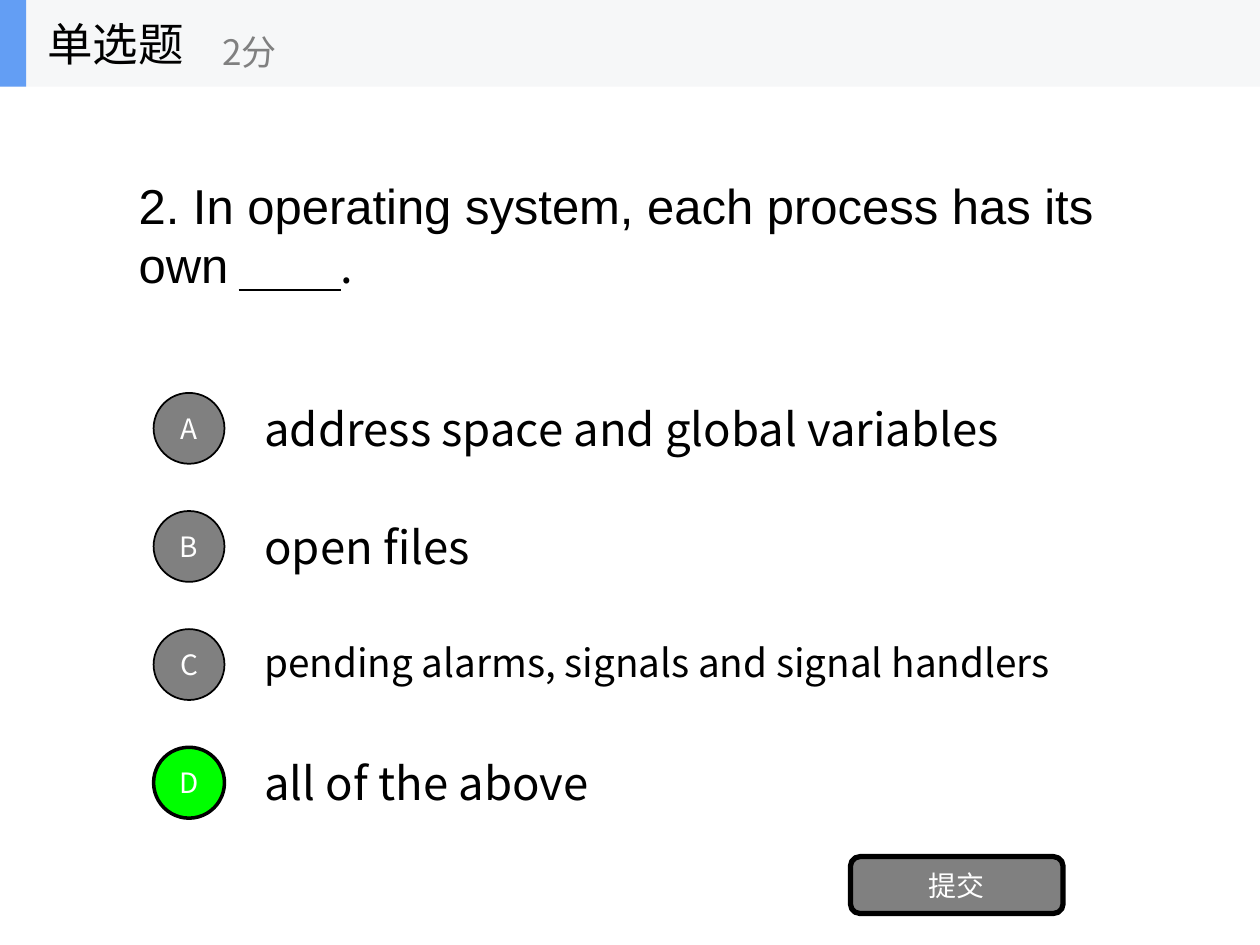
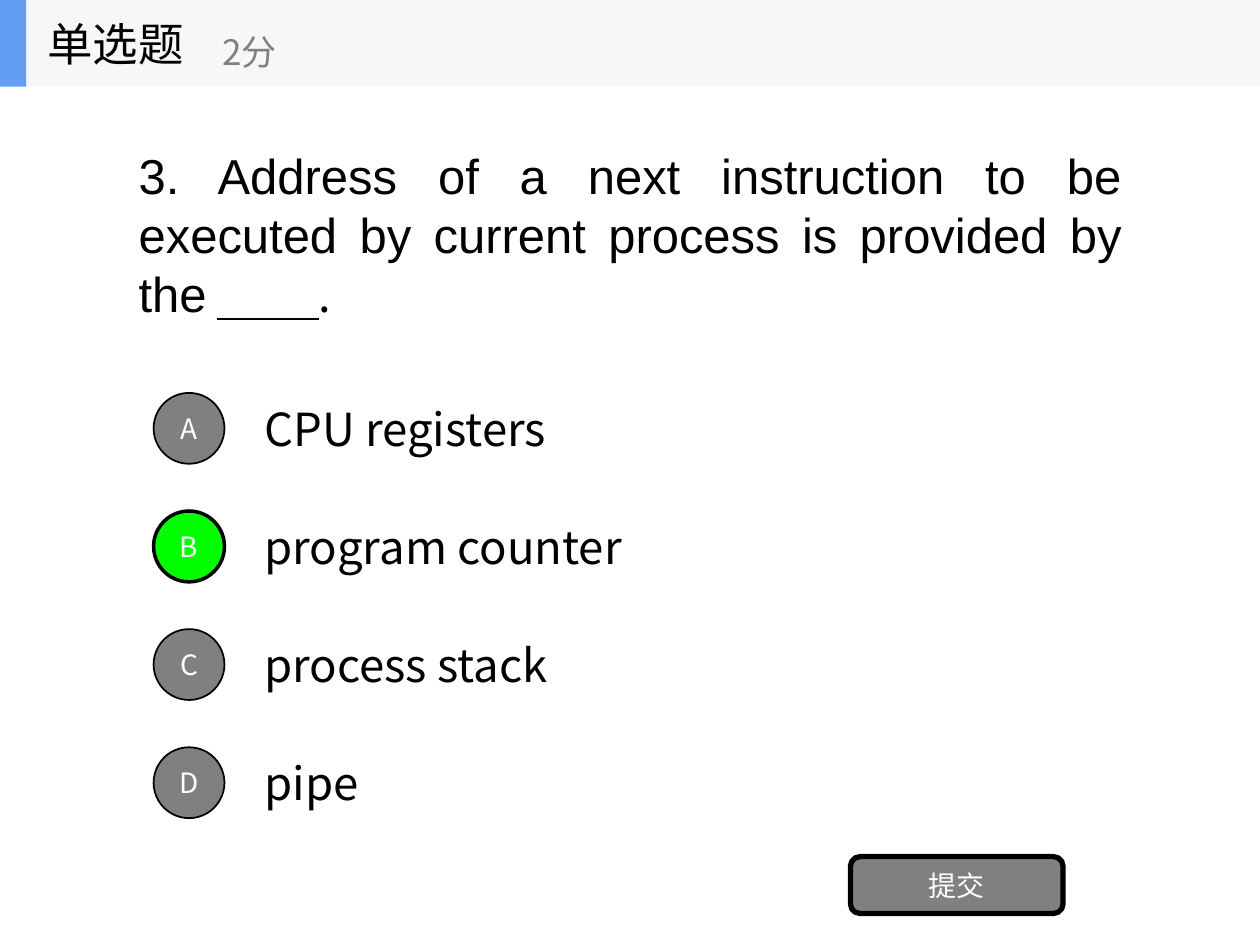
from dataclasses import dataclass

from lxml.etree import Element
from pptx import Presentation
from pptx.dml.color import RGBColor as RGB
from pptx.enum.shapes import MSO_SHAPE as Preset
from pptx.enum.text import MSO_ANCHOR as Anchor, PP_ALIGN as Align
from pptx.oxml.ns import qn
from pptx.util import Pt


@dataclass(frozen=True)
class Theme:
    black: RGB = RGB(0x00, 0x00, 0x00)
    white: RGB = RGB(0xFF, 0xFF, 0xFF)
    grey: RGB = RGB(0x80, 0x80, 0x80)
    correct: RGB = RGB(0x00, 0xFF, 0x00)
    band: RGB = RGB(0xF6, 0xF7, 0xF8)
    accent: RGB = RGB(0x63, 0x9E, 0xF4)
    question_font: str = "Arial"
    body_font: str = "Noto Sans CJK SC"
    question_size: float = 28
    body_size: float = 26
    tight_size: float = 22.1
    score_size: float = 20
    button_size: float = 16


BAND_HEIGHT = 49.5
OPTION_TOP = 219.5
OPTION_PITCH = 67.5
OPTION_HEIGHT = 50.5
BADGE_SIZE = 40.5


class QuizDeck:
    def __init__(self, theme):
        self.theme = theme
        self.deck = Presentation()
        self.deck.slide_width, self.deck.slide_height = Pt(720), Pt(540)
        self.slide = None

    def new_slide(self):
        self.slide = self.deck.slides.add_slide(self.deck.slide_layouts[5])

    def style(self, font, size, color, name=None):
        font.size = Pt(size)
        font.color.rgb = color
        font.name = name or self.theme.body_font

    def first_paragraph(self, shape, align):
        frame = shape.text_frame
        frame.word_wrap = True
        frame.vertical_anchor = Anchor.MIDDLE
        paragraph = frame.paragraphs[0]
        paragraph.alignment = align
        return paragraph

    def set_text(self, shape, text, size, color, align=Align.LEFT):
        paragraph = self.first_paragraph(shape, align)
        paragraph.text = text
        self.style(paragraph.font, size, color)
        self.match_east_asian(paragraph)
        return paragraph

    def match_east_asian(self, paragraph):
        for latin in list(paragraph._p.iter(qn("a:latin"))):
            latin.addnext(Element(qn("a:ea"), typeface=latin.get("typeface")))

    def label(self, box, text, size, color):
        textbox = self.slide.shapes.add_textbox(*map(Pt, box))
        return self.set_text(textbox, text, size, color)

    def block(self, preset, box, fill, line_width=0):
        shape = self.slide.shapes.add_shape(preset, *map(Pt, box))
        shape.shadow.inherit = False
        shape.fill.solid()
        shape.fill.fore_color.rgb = fill
        if line_width:
            shape.line.color.rgb = self.theme.black
            shape.line.width = Pt(line_width)
        else:
            shape.line.fill.background()
        return shape

    def button(self, preset, box, text, fill, line_width):
        shape = self.block(preset, box, fill, line_width)
        self.set_text(shape, text, self.theme.button_size, self.theme.white, Align.CENTER)

    def question(self, text, align):
        theme = self.theme
        title = self.slide.shapes.title
        title.left, title.top, title.width, title.height = map(Pt, (72, BAND_HEIGHT, 576, 168.5))
        paragraph = self.first_paragraph(title, align)
        stem = paragraph.add_run()
        stem.text = text
        self.style(stem.font, theme.question_size, theme.black, theme.question_font)
        for part, underlined in ((" ", False), (" " * 10, True), (".", False)):
            run = paragraph.add_run()
            run.text = part
            self.style(run.font, theme.body_size, theme.black)
            run.font.underline = underlined
        self.match_east_asian(paragraph)

    def options(self, answers, correct, tight):
        theme = self.theme
        tops = [OPTION_TOP + i * OPTION_PITCH for i in range(len(answers))]
        for letter, answer, top in zip("ABCD", answers, tops):
            size = theme.tight_size if letter == tight else theme.body_size
            paragraph = self.label((144, top, 504, OPTION_HEIGHT), answer, size, theme.black)
            if letter == tight:
                paragraph.line_spacing = 0.9
        for letter, top in zip("ABCD", tops):
            fill, line_width = (theme.correct, 2) if letter == correct else (theme.grey, 1)
            badge = (87.75, top + 5, BADGE_SIZE, BADGE_SIZE)
            self.button(Preset.OVAL, badge, letter, fill, line_width)

    def submit(self):
        self.button(Preset.ROUNDED_RECTANGLE, (486, 489.5, 121.5, 32.5), "提交", self.theme.grey, 3)

    def header(self):
        theme = self.theme
        self.block(Preset.RECTANGLE, (0, 0, 720, BAND_HEIGHT), theme.band)
        self.block(Preset.RECTANGLE, (0, 0, 15, BAND_HEIGHT), theme.accent)
        self.label((20, 0, 100, BAND_HEIGHT), "单选题", theme.body_size, theme.black)
        self.label((120, 9, 180, 40.5), "2分", theme.score_size, theme.grey)

    def quiz_slide(self, question, answers, correct, align=Align.LEFT, tight=None):
        self.new_slide()
        self.question(question, align)
        self.options(answers, correct, tight)
        self.submit()
        self.header()


def main():
    quiz = QuizDeck(Theme())
    quiz.quiz_slide(
        "2. In operating system, each process has its own",
        [
            "address space and global variables",
            "open files",
            "pending alarms, signals and signal handlers",
            "all of the above",
        ],
        correct="D",
        tight="C",
    )
    quiz.quiz_slide(
        "3. Address of a next instruction to be executed by current process is provided by the",
        ["CPU registers", "program counter", "process stack", "pipe"],
        correct="B",
        align=Align.JUSTIFY,
    )
    quiz.deck.save("out.pptx")


if __name__ == "__main__":
    main()
